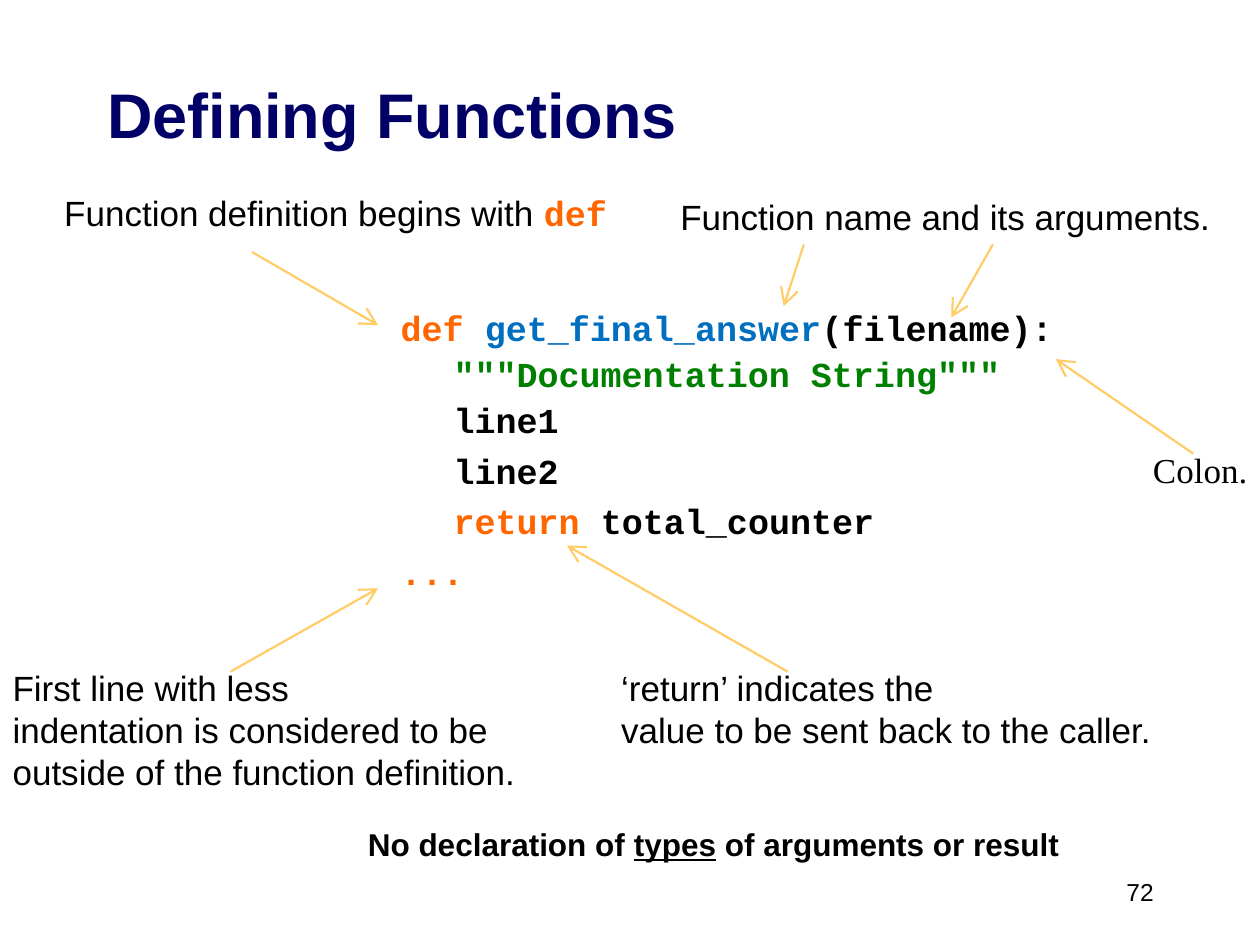
import pptx
import pptx.dml.color
import pptx.enum.shapes
import pptx.enum.text
import pptx.oxml
import pptx.oxml.ns
import pptx.util
from dataclasses import dataclass

Inches = pptx.util.Inches
Pt = pptx.util.Pt


@dataclass(frozen=True)
class Theme:
    ink: str = "000000"
    title: str = "000066"
    keyword: str = "FF6600"
    name: str = "006FC0"
    string: str = "008000"
    arrow: str = "FFCC66"
    sans: str = "Arial"
    serif: str = "Times New Roman"
    mono: str = "Courier New"
    title_size: int = 36
    body_size: int = 20
    remark_size: int = 18
    number_size: int = 14


THEME = Theme()


def add_span(para, text, color=THEME.ink, font=THEME.sans, size=THEME.body_size,
             bold=False, underline=False):
    span = para.add_run()
    span.text = text
    span.font.name = font
    span.font.size = Pt(size)
    span.font.bold = bold
    span.font.underline = underline
    span.font.color.rgb = pptx.dml.color.RGBColor.from_string(color)


def clear_margins(frame):
    frame.word_wrap = True
    frame.margin_left = frame.margin_right = 0
    frame.margin_top = frame.margin_bottom = 0
    frame.vertical_anchor = pptx.enum.text.MSO_ANCHOR.TOP


def set_indent(para, indent):
    properties = para._p.get_or_add_pPr()
    properties.set("marL", str(Inches(indent)))
    properties.set("indent", "0")


def add_text(page, left, top, width, height, lines, indent=0.01):
    box = page.shapes.add_textbox(Inches(left), Inches(top), Inches(width), Inches(height))
    frame = box.text_frame
    clear_margins(frame)
    for index, spans in enumerate(lines):
        para = frame.add_paragraph() if index else frame.paragraphs[0]
        set_indent(para, indent)
        for text, style in spans:
            add_span(para, text, **style)
    return frame


def set_title(page, text):
    title = page.shapes.title
    title.left, title.top = Inches(0.84), Inches(0.3)
    title.width, title.height = Inches(8.33), Inches(1.21)
    clear_margins(title.text_frame)
    title.text_frame.margin_top = Inches(0.3)
    para = title.text_frame.paragraphs[0]
    para.alignment = pptx.enum.text.PP_ALIGN.LEFT
    para.line_spacing = Pt(42.9)
    set_indent(para, 0.01)
    add_span(para, text, THEME.title, size=THEME.title_size, bold=True)


def add_code(page):
    def code(text, color=THEME.ink):
        return text, dict(color=color, font=THEME.mono, bold=True)

    lines = [
        [code("def ", THEME.keyword), code("get_final_answer", THEME.name), code("(filename):")],
        [code('"""Documentation String"""', THEME.string)],
        [code("line1")],
        [code("line2")],
        [code("return ", THEME.keyword), code("total_counter")],
        [code("...", THEME.keyword)],
    ]
    frame = add_text(page, 3.17, 2.4, 5.2, 2.33, lines, indent=0.43)
    paras = frame.paragraphs
    for para in (paras[0], paras[-1]):
        set_indent(para, 0.01)
    for para in paras[:3]:
        para.line_spacing = 1.1
    for para in paras[3:]:
        para.space_before = Pt(4.8)


def add_arrow(page, start, end):
    arrow = page.shapes.add_connector(
        pptx.enum.shapes.MSO_CONNECTOR.STRAIGHT,
        *(Inches(value) for value in start + end))
    arrow.line.color.rgb = pptx.dml.color.RGBColor.from_string(THEME.arrow)
    arrow.line.width = Pt(1.25)
    namespace = pptx.oxml.ns.nsdecls("a")
    arrow.line._get_or_add_ln().append(pptx.oxml.parse_xml(
        f'<a:tailEnd {namespace} type="arrow" w="lg" len="lg"/>'))
    arrow._element.spPr.append(pptx.oxml.parse_xml(f"<a:effectLst {namespace}/>"))


def main():
    deck = pptx.Presentation()
    deck.slide_width, deck.slide_height = Inches(10), Inches(7.5)
    page = deck.slides.add_slide(deck.slide_layouts[5])
    set_title(page, "Defining Functions")

    keyword = dict(color=THEME.keyword, font=THEME.mono, bold=True)
    remark = dict(size=THEME.remark_size, bold=True)
    notes = [
        ((0.5, 1.52, 4.33, 0.35), [[("Function definition begins with ", {}), ("def", keyword)]]),
        ((5.39, 1.55, 4.23, 0.35), [[("Function name and its arguments.", {})]]),
        ((9.14, 3.56, 0.78, 0.35), [[("Colon.", dict(font=THEME.serif))]]),
        ((0.09, 5.29, 4.01, 1.01), [
            [("First line with less", {})],
            [("indentation is considered to be outside of the function definition.", {})]]),
        ((4.92, 5.29, 4.23, 0.68), [
            [("‘return’ indicates the", {})],
            [("value to be sent back to the caller.", {})]]),
        ((2.91, 6.55, 5.51, 0.31), [[
            ("No declaration of ", remark), ("types", dict(remark, underline=True)),
            (" of arguments or result", remark)]]),
    ]
    for place, lines in notes:
        add_text(page, *place, lines)
    add_text(page, 8.8, 6.96, 0.38, 0.25, [[("72", dict(size=THEME.number_size))]], indent=0.14)
    add_code(page)

    arrows = [
        ((2, 2), (3, 2.58)),
        ((6.38, 1.94), (6.22, 2.43)),
        ((7.88, 1.94), (7.55, 2.52)),
        ((9.47, 3.6), (8.38, 2.85)),
        ((1.83, 5.33), (3, 4.67)),
        ((6.25, 5.33), (4.5, 4.33)),
    ]
    for start, end in arrows:
        add_arrow(page, start, end)

    deck.save("out.pptx")


if __name__ == "__main__":
    main()
